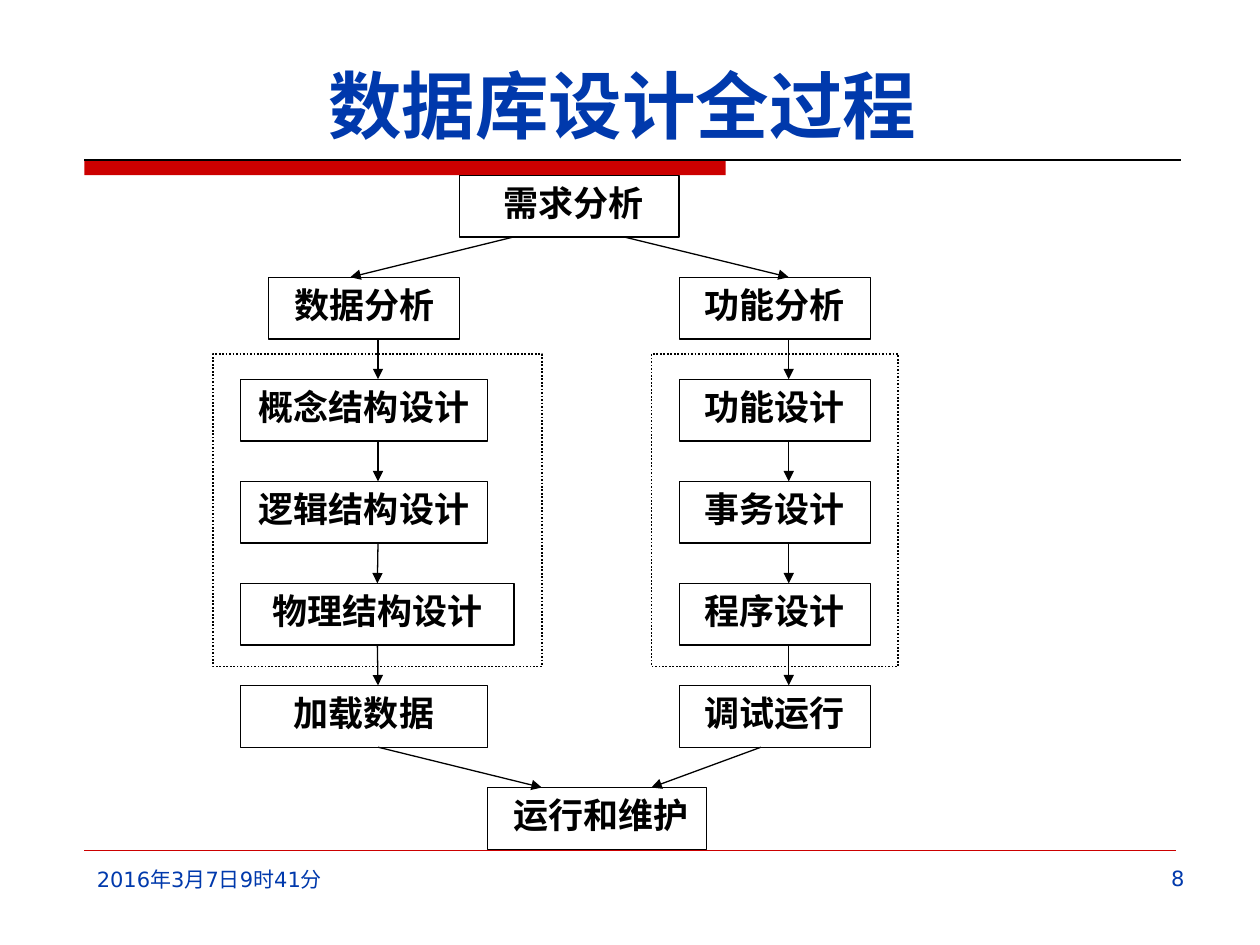
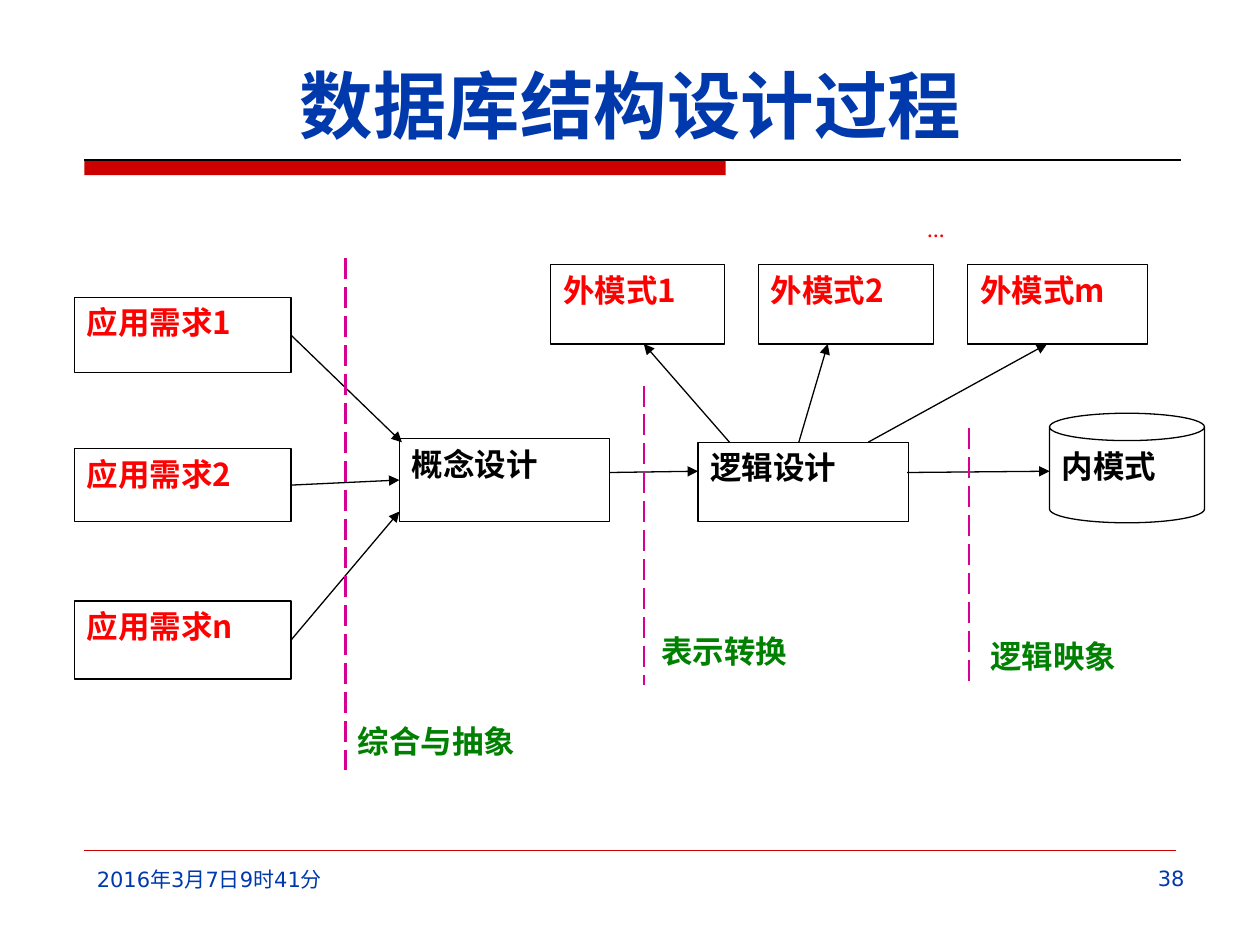
import dataclasses

import lxml.etree
import pptx
import pptx.dml.color
import pptx.enum.dml
import pptx.enum.shapes
import pptx.enum.text
import pptx.oxml.ns
import pptx.util

Inches = pptx.util.Inches
Pt = pptx.util.Pt
qn = pptx.oxml.ns.qn
Align = pptx.enum.text.PP_ALIGN
Kind = pptx.enum.shapes.MSO_SHAPE
Dash = pptx.enum.dml.MSO_LINE

TOP, LEFT, BOTTOM, RIGHT = range(4)
DATE = "2016年3月7日9时41分"


@dataclasses.dataclass(frozen=True)
class Theme:
    blue: str = "0039AC"
    band: str = "CC0000"
    red: str = "FF0000"
    green: str = "008000"
    pink: str = "D60093"
    black: str = "000000"
    white: str = "FFFFFF"
    sans: str = "Noto Sans CJK SC"
    serif: str = "Times New Roman"
    small: str = "DejaVu Sans"
    title: int = 42
    step: int = 20
    body: int = 18
    foot: int = 12
    dots: int = 10


def color(code):
    return pptx.dml.color.RGBColor.from_string(code)


class Deck:
    def __init__(self, theme):
        self.theme = theme
        self.show = pptx.Presentation()
        self.show.slide_width = Inches(10)
        self.show.slide_height = Inches(7.5)
        self.slide = None

    def page(self, title, number):
        """Start a slide with its title, band and footer."""
        t = self.theme
        self.slide = self.show.slides.add_slide(self.show.slide_layouts[5])
        head = self.slide.shapes.title
        head.left, head.top = Inches(0.63), Inches(0.33)
        head.width, head.height = Inches(8.75), Inches(0.9)
        self.label(head, title, t.title, t.blue, t.sans, Align.CENTER)
        head.text_frame.vertical_anchor = pptx.enum.text.MSO_ANCHOR.BOTTOM
        self.shape(0.67, 1.27, 5.09, 0.12, fill=t.band)
        self.line(0.67, 1.27, 9.37, 1.27)
        self.line(0.67, 6.75, 9.33, 6.75, t.band, 0.25)
        self.note(0.67, 6.83, 2.21, DATE, Align.LEFT)
        self.note(7.33, 6.82, 2.17, str(number), Align.RIGHT)

    def label(self, shape, text, size, ink, font, align, bold=True):
        """Put one styled paragraph into a shape."""
        frame = shape.text_frame
        frame.word_wrap = True
        frame.auto_size = pptx.enum.text.MSO_AUTO_SIZE.NONE
        frame.vertical_anchor = pptx.enum.text.MSO_ANCHOR.TOP
        frame.text = text
        para = frame.paragraphs[0]
        para.alignment = align
        para.font.size = Pt(size)
        para.font.bold = bold
        para.font.color.rgb = color(ink)
        para.font.name = font
        props = para._p.pPr.find(qn("a:defRPr"))
        lxml.etree.SubElement(props, qn("a:ea"), typeface=self.theme.sans)

    def note(self, x, y, w, text, align):
        t = self.theme
        box = self.slide.shapes.add_textbox(
            Inches(x), Inches(y), Inches(w), Inches(0.52))
        self.label(box, text, t.foot, t.blue, t.small, align, bold=False)

    def shape(self, x, y, w, h, fill=None, edge=None, kind=Kind.RECTANGLE):
        item = self.slide.shapes.add_shape(
            kind, Inches(x), Inches(y), Inches(w), Inches(h))
        item.shadow.inherit = False
        if fill:
            item.fill.solid()
            item.fill.fore_color.rgb = color(fill)
        else:
            item.fill.background()
        if edge:
            item.line.color.rgb = color(edge)
            item.line.width = Pt(0.75)
        else:
            item.line.fill.background()
        return item

    def step(self, x, y, w, text):
        t = self.theme
        box = self.shape(x, y, w, 0.49, t.white, t.black)
        self.label(box, text, t.step, t.black, t.serif, Align.CENTER)
        return box

    def box(self, x, y, w, h, text, ink, kind=Kind.RECTANGLE):
        t = self.theme
        box = self.shape(x, y, w, h, t.white, t.black, kind)
        self.label(box, text, t.body, ink, t.sans, Align.JUSTIFY)
        return box

    def phase(self, x, y, w, h, text):
        t = self.theme
        box = self.shape(x, y, w, h, t.white)
        self.label(box, text, t.body, t.green, t.sans, Align.JUSTIFY)

    def frame(self, x, y, w, h):
        item = self.shape(x, y, w, h, edge=self.theme.black)
        item.line.width = Pt(1)
        item.line.dash_style = Dash.ROUND_DOT

    def line(self, x1, y1, x2, y2, ink=None, width=0.75, dash=None):
        item = self.slide.shapes.add_connector(
            pptx.enum.shapes.MSO_CONNECTOR.STRAIGHT,
            Inches(x1), Inches(y1), Inches(x2), Inches(y2))
        item.line.color.rgb = color(ink or self.theme.black)
        item.line.width = Pt(width)
        if dash:
            item.line.dash_style = dash
        lxml.etree.SubElement(item._element.spPr, qn("a:effectLst"))
        return item

    def arrow(self, x1, y1, x2, y2, start=None, end=None):
        """Draw an arrow; start and end are (shape, side) to join."""
        item = self.line(x1, y1, x2, y2)
        ln = item._element.spPr.find(qn("a:ln"))
        lxml.etree.SubElement(ln, qn("a:tailEnd"), type="triangle")
        if start:
            item.begin_connect(*start)
        if end:
            item.end_connect(*end)

    def divide(self, x, y1, y2):
        self.line(x, y1, x, y2, self.theme.pink, 1.5, Dash.LONG_DASH)


def whole(deck):
    deck.page("数据库设计全过程 ", 8)
    tops = [1.39 + 0.81 * i for i in range(7)]
    ends = [y + 0.49 for y in tops]
    deck.step(3.87, tops[6], 1.74, " 运行和维护")
    deck.step(3.65, tops[0], 1.74, " 需求分析")

    data = [(2.13, 1.52, "数据分析"), (1.91, 1.96, "概念结构设计"),
            (1.91, 1.96, "逻辑结构设计"), (1.91, 2.17, "物理结构设计"),
            (1.91, 1.96, "加载数据")]
    tasks = ["功能分析", "功能设计", "事务设计", "程序设计", "调试运行"]
    left = [deck.step(x, y, w, text)
            for y, (x, w, text) in zip(tops[1:], data)]
    for y, text in zip(tops[1:], tasks):
        deck.step(5.39, y, 1.52, text)

    store = left[3]
    for i in range(1, 5):
        deck.arrow(3, ends[i], 3, tops[i + 1],
                   start=(store, BOTTOM) if i == 4 else None,
                   end=(store, TOP) if i == 3 else None)
        deck.arrow(6.26, ends[i], 6.26, tops[i + 1])
    deck.arrow(4.08, ends[0], 2.78, tops[1])
    deck.arrow(4.95, ends[0], 6.26, tops[1])
    deck.arrow(3, ends[5], 4.3, tops[6])
    deck.arrow(6.04, ends[5], 5.17, tops[6])
    for x, w in ((1.69, 2.61), (5.17, 1.96)):
        deck.frame(x, 2.81, w, 2.48)


def design(deck):
    t = deck.theme
    deck.page("数据库结构设计过程", 38)
    deck.phase(7.76, 5.01, 1.58, 0.55, "逻辑映象")
    deck.phase(2.74, 5.68, 1.94, 0.6, "综合与抽象")
    dots = deck.shape(7.26, 1.7, 0.65, 1.02, t.white)
    deck.label(dots, "…", t.dots, t.red, t.serif, Align.JUSTIFY)

    needs = [deck.box(0.59, y, 1.72, h, "应用需求" + mark, t.red)
             for y, h, mark in ((2.36, 0.6, "1"), (3.56, 0.58, "2"),
                                (4.77, 0.62, "n"))]
    idea = deck.box(3.17, 3.48, 1.67, 0.66, "概念设计", t.black)
    deck.box(5.54, 3.51, 1.67, 0.63, "逻辑设计", t.black)
    for x, w, mark in ((4.37, 1.38, "1"), (6.02, 1.39, "2"),
                       (7.68, 1.43, "m")):
        deck.box(x, 2.1, w, 0.63, "外模式" + mark, t.red)
    deck.box(8.33, 3.28, 1.23, 0.87, "内模式", t.black, Kind.CAN)

    deck.arrow(2.31, 2.65, 3.19, 3.51, start=(needs[0], RIGHT))
    deck.arrow(2.31, 3.83, 3.17, 3.83, (needs[1], RIGHT), (idea, LEFT))
    deck.arrow(2.31, 5.08, 3.17, 4.06, start=(needs[2], RIGHT))
    for x1, x2 in ((5.79, 5.11), (6.34, 6.57), (6.89, 8.31)):
        deck.arrow(x1, 3.51, x2, 2.73)
    for x1, x2 in ((7.2, 8.33), (4.84, 5.54)):
        deck.arrow(x1, 3.75, x2, 3.74)
    for x, y1, y2 in ((2.74, 2.05, 6.11), (5.11, 3.06, 5.44),
                      (7.69, 3.4, 5.44)):
        deck.divide(x, y1, y2)
    deck.phase(5.15, 4.97, 1.58, 0.6, "表示转换")


def main():
    deck = Deck(Theme())
    whole(deck)
    design(deck)
    deck.show.save("out.pptx")


if __name__ == "__main__":
    main()
